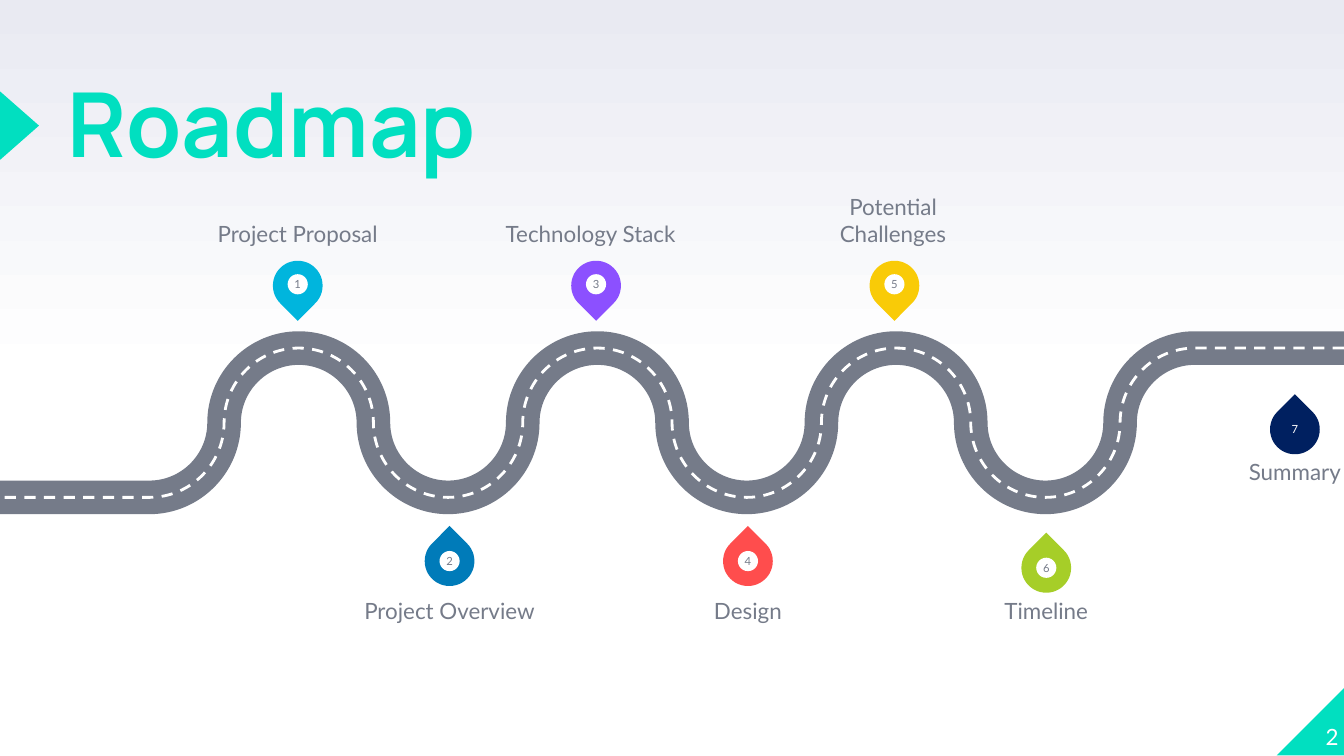
from copy import deepcopy
from dataclasses import dataclass

from lxml.etree import SubElement
from pptx import Presentation
from pptx.dml.color import RGBColor
from pptx.enum.dml import MSO_LINE
from pptx.enum.shapes import MSO_SHAPE
from pptx.enum.text import MSO_ANCHOR, PP_ALIGN
from pptx.oxml.ns import qn
from pptx.util import Inches, Pt


@dataclass(frozen=True)
class Theme:
    accent: str = "01DFC0"
    gray: str = "757B89"
    white: str = "FFFFFF"
    haze: str = "E9EAF2"
    navy: str = "002060"
    title_font: str = "Manrope"
    body_font: str = "Lato"
    title_size: int = 48
    body_size: int = 12
    pin_size: int = 6


@dataclass(frozen=True)
class Stop:
    number: str
    label: str
    color: str
    pin: tuple
    label_at: tuple
    above: bool = False
    dot: str = "FFFFFF"
    ink: str = "757B89"


THEME = Theme()
PIN, DOT = 0.37, 0.15
ROAD_TOP, ROAD_START, RADIUS, CURVES = 2.59, 8.89, 5 / 9, 14
BEZIER = 0.55

STOPS = [
    Stop("1", "Project Proposal", "00B5DD", (2.03, 1.94), (1.51, 1.26), True),
    Stop("3", "Technology Stack", "8C50FF", (4.25, 1.94), (3.69, 1.26), True),
    Stop("5", "Potential Challenges", "F9CB07", (6.47, 1.94), (5.94, 1.26), True),
    Stop("6", "Timeline", "A6CE28", (7.6, 4.04), (7.08, 4.44)),
    Stop("4", "Design", "FF4D4D", (5.38, 3.99), (4.86, 4.44)),
    Stop("2", "Project Overview", "007BB9", (3.16, 3.99), (2.64, 4.44)),
    Stop("7", "Summary", THEME.navy, (9.45, 3.01), (8.93, 3.41),
         dot=THEME.navy, ink=THEME.white),
]


def rgb(color):
    return RGBColor.from_string(color)


def set_background(s):
    fill = s.background.fill
    fill.gradient()
    fill.gradient_angle = 90
    first = s._element.xpath(".//a:gs")[0]
    first.addnext(deepcopy(first))
    colors = (THEME.white, THEME.white, THEME.haze)
    for stop, position, color in zip(fill.gradient_stops, (0, 0.5, 1), colors):
        stop.position = position
        stop.color.rgb = rgb(color)


def add_shape(shapes, kind, box, color, rotation=0, flip=False):
    sp = shapes.add_shape(kind, *map(Inches, box))
    sp.shadow.inherit = False
    sp.fill.solid()
    sp.fill.fore_color.rgb = rgb(color)
    sp.line.fill.background()
    sp.rotation = rotation
    if flip:
        sp._element.spPr.find(qn("a:xfrm")).set("flipH", "1")
    return sp


def write(sp, text, size, color, font=THEME.body_font, align=PP_ALIGN.CENTER,
          anchor=MSO_ANCHOR.TOP, bold=False, spacing=None):
    tf = sp.text_frame
    tf.word_wrap = True
    tf.vertical_anchor = anchor
    tf.margin_left = tf.margin_top = tf.margin_right = tf.margin_bottom = 0
    p = tf.paragraphs[0]
    p.alignment = align
    p.line_spacing = spacing
    r = p.add_run()
    r.text = text
    r.font.name = font
    r.font.size = Pt(size)
    r.font.bold = bold
    r.font.color.rgb = rgb(color)


def add_text(s, box, text, size, color, **style):
    sp = s.shapes.add_textbox(*map(Inches, box))
    write(sp, text, size, color, **style)


def road_node(i):
    return ROAD_START - i * RADIUS, ROAD_TOP + (0, 1, 2, 1)[i % 4] * RADIUS


def road_points():
    points = [road_node(0)]
    for i in range(CURVES):
        (x1, y1), (x2, y2) = road_node(i), road_node(i + 1)
        dx, dy = BEZIER * (x2 - x1), BEZIER * (y2 - y1)
        if i % 2 == 0:
            points += [(x1 + dx, y1), (x2, y2 - dy), (x2, y2)]
        else:
            points += [(x1, y1 + dy), (x2 - dx, y2), (x2, y2)]
    return points + [(0, road_node(CURVES)[1])]


def add_road(s, color, width, dash=None):
    points = [(Inches(x), Inches(y)) for x, y in road_points()]
    builder = s.shapes.build_freeform(Inches(10), Inches(ROAD_TOP))
    builder.add_line_segments(points, close=False)
    sp = builder.convert_to_shape()
    sp.shadow.inherit = False
    sp.fill.background()
    sp.line.color.rgb = rgb(color)
    sp.line.width = Pt(width)
    if dash:
        sp.line.dash_style = dash
    bend_road(sp)


def bend_road(sp):
    outline = sp._element.xpath(".//a:pathLst/*")[0]
    lines = outline.findall(qn("a:lnTo"))
    last = lines[-1]
    for i in range(1, len(lines) - 1, 3):
        curve = SubElement(outline, qn("a:cubicBezTo"))
        for line in lines[i:i + 3]:
            curve.append(line[0])
            outline.remove(line)
    outline.append(last)


def add_stop(s, stop):
    left, top = stop.pin
    inset = (PIN - DOT) / 2
    shapes = s.shapes.add_group_shape().shapes
    add_shape(shapes, MSO_SHAPE.TEAR, (left, top, PIN, PIN), stop.color,
              rotation=135 if stop.above else 315)
    dot_top = top + (0.1 if stop.above else inset)
    dot = add_shape(shapes, MSO_SHAPE.OVAL,
                    (left + inset, dot_top, DOT, DOT), stop.dot)
    write(dot, stop.number, THEME.pin_size, stop.ink, anchor=MSO_ANCHOR.MIDDLE)
    add_text(s, (*stop.label_at, 1.41, 0.58), stop.label, THEME.body_size,
             THEME.gray,
             anchor=MSO_ANCHOR.BOTTOM if stop.above else MSO_ANCHOR.TOP)


def main():
    prs = Presentation()
    prs.slide_width = Inches(10)
    prs.slide_height = Inches(10) * 9 // 16
    s = prs.slides.add_slide(prs.slide_layouts[6])
    set_background(s)
    add_shape(s.shapes, MSO_SHAPE.RIGHT_TRIANGLE, (9.5, 5.11, 0.51, 0.51),
              THEME.accent, flip=True)
    add_shape(s.shapes, MSO_SHAPE.ISOSCELES_TRIANGLE, (-0.11, 0.79, 0.51, 0.29),
              THEME.accent, rotation=90)
    add_text(s, (0.5, 0.66, 6.17, 1.18), "Roadmap", THEME.title_size,
             THEME.accent, font=THEME.title_font, align=PP_ALIGN.LEFT,
             bold=True, spacing=0.8)
    add_text(s, (9.46, 5.07, 0.5, 0.51), "2", THEME.body_size, THEME.white,
             align=PP_ALIGN.RIGHT, anchor=MSO_ANCHOR.BOTTOM)
    add_road(s, THEME.gray, 18)
    add_road(s, THEME.white, 1.5, MSO_LINE.DASH)
    for stop in STOPS:
        add_stop(s, stop)
    prs.save("out.pptx")


if __name__ == "__main__":
    main()
